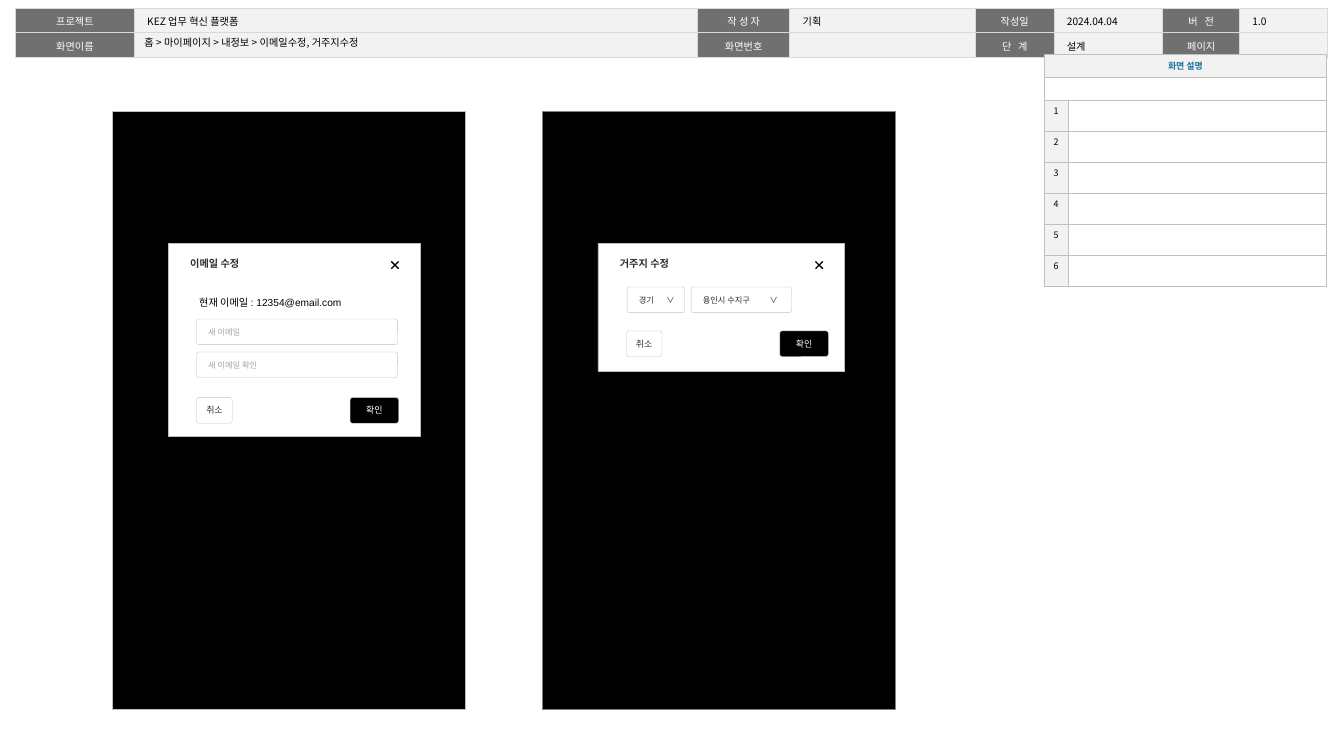
from dataclasses import dataclass
from itertools import accumulate

from lxml.etree import SubElement
from pptx import Presentation
from pptx.dml.color import RGBColor as RGB
from pptx.enum.shapes import MSO_CONNECTOR as Connector, MSO_SHAPE as Shape
from pptx.enum.text import MSO_ANCHOR as Anchor, PP_ALIGN as Align
from pptx.oxml.ns import qn
from pptx.util import Emu, Pt

# Content: lengths in px, 100 px to the inch
SLIDE = (1470, 827)
HEADER_AT = (17, 9)
HEADER_COLS = [130, 616, 101, 203, 86, 119, 84, 96]
HEADER_ROW = 24
HEADER = [
    ["프로젝트", "KEZ 업무 혁신 플랫폼", "작 성 자", "기획",
     "작성일", "2024.04.04", "버 전", "1.0"],
    ["화면이름", "", "화면번호", "", "단 계", "설계", "페이지", ""],
]
WIDE_LABELS = ("버 전", "단 계")
BREADCRUMB = "홈 > 마이페이지 > 내정보 > 이메일수정, 거주지수정"
NOTES_AT = (1142, 59)
NOTES_COLS = [26, 283]
NOTES_ROWS = [25, 25] + [34] * 6
NOTES_TITLE = "화면 설명"
SCREENS = [((123, 122, 386, 654), "BFBFBF"), ((593, 122, 386, 654), "808080")]
CURRENT_EMAIL = "현재 이메일 : 12354@email.com"
# Fields: text, dx, dy, width, tab stop of the drop-down sign
POPUPS = [
    dict(title="이메일 수정", box=(184, 266, 276, 211), buttons_dy=169,
         fields=[("새 이메일", 31, 83, 220, None),
                 ("새 이메일 확인", 31, 119, 220, None)]),
    dict(title="거주지 수정", box=(654, 266, 270, 140), buttons_dy=96,
         fields=[("경기\t∨", 32, 48, 63, 30),
                 ("용인시 수지구\t∨", 102, 48, 110, 73)]),
]
BUTTONS = [("취소", 31, 39), ("확인", 199, 53)]
CONTROL_H = 28


@dataclass(frozen=True)
class Theme:
    korean: str = "Noto Sans CJK KR"
    latin: str = "Arial"
    black: str = "000000"
    white: str = "FFFFFF"
    ink: str = "2E2E2E"
    hint: str = "A6A6A6"
    label: str = "707070"
    pale: str = "F2F2F2"
    edge: str = "BFBFBF"
    header_edge: str = "D9D9D9"
    accent: str = "176F9B"
    body: float = 8
    small: float = 7
    tiny: float = 6.5


T = Theme()


def px(n):
    return Emu(n * 9144)


prs = Presentation()
prs.slide_width, prs.slide_height = map(px, SLIDE)
shapes = prs.slides.add_slide(prs.slide_layouts[6]).shapes


def write(tf, text, size=T.body, color=T.black, font=T.korean, bold=False,
          align=Align.LEFT, spacing=None, tracking=None, tab=None):
    p = tf.paragraphs[0]
    p.alignment = align
    if spacing:
        p.line_spacing = spacing
    if not text:
        SubElement(p._p, qn("a:endParaRPr"), sz=str(int(size * 100)))
        return
    if tab:
        tabs = SubElement(p._p.get_or_add_pPr(), qn("a:tabLst"))
        SubElement(tabs, qn("a:tab"), pos=str(px(tab)), algn="l")
    r = p.add_run()
    r.text = text
    r.font.size, r.font.name, r.font.bold = Pt(size), font, bold
    r.font.color.rgb = RGB.from_string(color)
    SubElement(r._r.get_or_add_rPr(), qn("a:ea"), typeface=T.korean)
    if tracking:
        r._r.get_or_add_rPr().set("spc", str(tracking))


def set_margins(obj, left, top, right, bottom):
    obj.margin_left, obj.margin_top = px(left), px(top)
    obj.margin_right, obj.margin_bottom = px(right), px(bottom)


def add_box(kind, box, fill, line=T.edge, width=0.25, text=None,
            margins=(4, 0, 4, 0), anchor=Anchor.MIDDLE, **fmt):
    s = shapes.add_shape(kind, *map(px, box))
    s.shadow.inherit = False
    s.fill.solid()
    s.fill.fore_color.rgb = RGB.from_string(fill)
    s.line.color.rgb = RGB.from_string(line)
    s.line.width = Pt(width)
    if kind == Shape.ROUNDED_RECTANGLE:
        s.adjustments[0] = 0.1
    if text:
        tf = s.text_frame
        tf.word_wrap, tf.vertical_anchor = True, anchor
        set_margins(tf, *margins)
        write(tf, text, **fmt)


def add_label(box, text, margins, anchor, wrap, **fmt):
    tf = shapes.add_textbox(*map(px, box)).text_frame
    tf.word_wrap, tf.vertical_anchor = wrap, anchor
    set_margins(tf, *margins)
    write(tf, text, **fmt)


def add_grid(at, cols, rows):
    size = (sum(cols), sum(rows))
    table = shapes.add_table(len(rows), len(cols), *map(px, at + size)).table
    table.first_row = table.horz_banding = False
    for col, w in zip(table.columns, cols):
        col.width = px(w)
    for row, h in zip(table.rows, rows):
        row.height = px(h)
    return table


def fill_cell(cell, text, fill, edge, width, side, anchor=Anchor.TOP, **fmt):
    set_margins(cell, side, 5, side, 5)
    cell.vertical_anchor = anchor
    for name in ("a:lnL", "a:lnR", "a:lnT", "a:lnB"):
        ln = SubElement(cell._tc.get_or_add_tcPr(), qn(name), w=str(Pt(width)))
        SubElement(SubElement(ln, qn("a:solidFill")), qn("a:srgbClr"), val=edge)
    cell.fill.solid()
    cell.fill.fore_color.rgb = RGB.from_string(fill)
    write(cell.text_frame, text, **fmt)


def add_close(x, y, size=8):
    for y1, y2 in ((y, y + size), (y + size, y)):
        c = shapes.add_connector(Connector.STRAIGHT, *map(px, (x, y1, x + size, y2)))
        c.line.color.rgb = RGB.from_string(T.black)
        c.line.width = Pt(1)
        SubElement(c._element.spPr, qn("a:effectLst"))


# Header table: labels and values alternate
header = add_grid(HEADER_AT, HEADER_COLS, [HEADER_ROW] * len(HEADER))
for i, line in enumerate(HEADER):
    for j, text in enumerate(line):
        label = j % 2 == 0
        fill_cell(header.cell(i, j), text, T.label if label else T.pale,
                  T.header_edge, 1, 14, color=T.white if label else T.black,
                  align=Align.CENTER if label else Align.LEFT, spacing=1.05,
                  tracking=180 if text in WIDE_LABELS else None)

# Phone screens
for box, edge in SCREENS:
    add_box(Shape.RECTANGLE, box, T.black, edge, 0.5)

# Breadcrumb, set in the second header column
crumb_x = HEADER_AT[0] + list(accumulate(HEADER_COLS))[0]
add_label((crumb_x, 38, 385, 16), BREADCRUMB, (11, 5, 11, 5), Anchor.MIDDLE, True)

# Description table
notes = add_grid(NOTES_AT, NOTES_COLS, NOTES_ROWS)
for i in range(len(NOTES_ROWS)):
    for j in range(len(NOTES_COLS)):
        title, number = i == j == 0, i > 1 and j == 0
        text = NOTES_TITLE if title else str(i - 1) if number else ""
        fill_cell(notes.cell(i, j), text, T.pale if title or number else T.white,
                  T.edge, 0.25, 4, Anchor.MIDDLE if title else Anchor.TOP,
                  size=T.small, bold=title, align=Align.CENTER,
                  color=T.accent if title else T.black)
for i in range(2):
    notes.cell(i, 0).merge(notes.cell(i, 1))

# Pop-ups with their fields and buttons
for popup in POPUPS:
    x, y, w, h = popup["box"]
    add_box(Shape.RECTANGLE, popup["box"], T.white, width=0.5, text=popup["title"],
            margins=(24, 16, 16, 5), anchor=Anchor.TOP, color=T.ink, bold=True)
    add_close(x + w - 32, y + 20)
    for text, dx, dy, field_w, tab in popup["fields"]:
        add_box(Shape.ROUNDED_RECTANGLE, (x + dx, y + dy, field_w, CONTROL_H),
                T.white, text=text, margins=(12, 0, 8, 0), size=T.tiny,
                font=T.latin, color=T.ink if tab else T.hint, tab=tab)
    for (text, dx, button_w), (fill, color) in zip(
            BUTTONS, ((T.white, T.ink), (T.black, T.white))):
        add_box(Shape.ROUNDED_RECTANGLE,
                (x + dx, y + popup["buttons_dy"], button_w, CONTROL_H), fill,
                text=text, size=T.small, font=T.latin, color=color,
                align=Align.CENTER)

# Current e-mail
add_label((208, 319, 185, 24), CURRENT_EMAIL, (10, 5, 10, 5), Anchor.TOP, False,
          font=T.latin)

prs.save("out.pptx")
